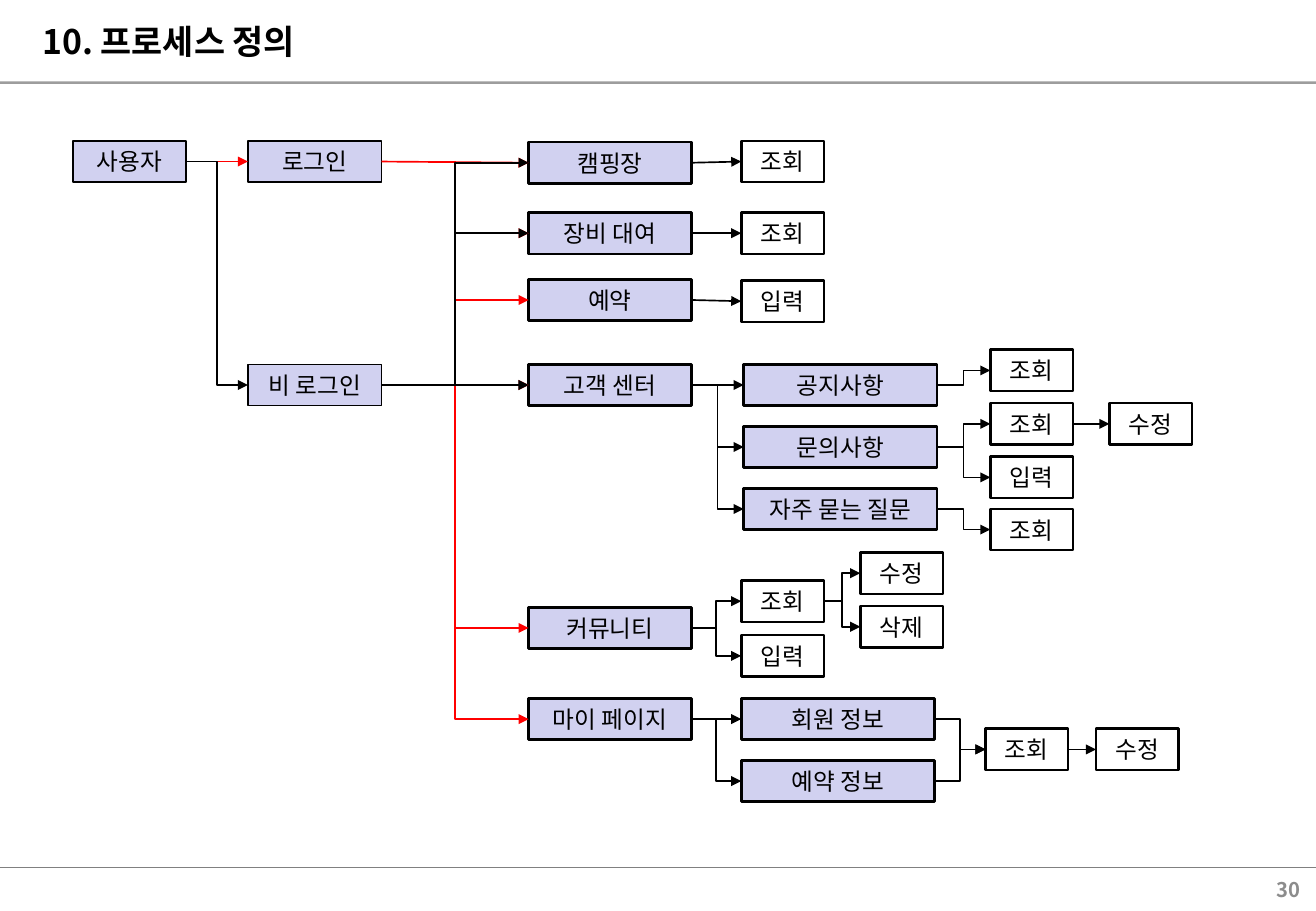
from typing import NamedTuple, Optional

from lxml import etree
from pptx import Presentation
from pptx import util as u
from pptx.dml import color as col
from pptx.enum import shapes, text
from pptx.oxml import ns

FONT = "Noto Sans CJK KR"
HUES = {"ink": "000000", "red": "FF0000", "lilac": "D1D1F0",
        "rule": "808080", "page": "8C8C8C"}
TALL = 0.34


class Kind(NamedTuple):
    width: float
    fill: Optional[str]
    line: float


class Box(NamedTuple):
    key: str
    label: str
    kind: str
    left: float
    top: float


class Link(NamedTuple):
    start: str
    ends: str
    hue: str = "ink"


class Rule(NamedTuple):
    top: float
    line: float
    alpha: int


class Label(NamedTuple):
    words: str
    left: float
    top: float
    width: float
    height: float
    size: int
    hue: str
    align: text.PP_ALIGN


KINDS = {
    "user": Kind(0.93, "lilac", 1),
    "login": Kind(1.1, "lilac", 1),
    "menu": Kind(1.34, "lilac", 1.5),
    "page": Kind(1.59, "lilac", 1.5),
    "act": Kind(0.68, None, 1.5),
}

BOXES = [
    Box("user", "사용자", "user", 0.6, 1.16),
    Box("login", "로그인", "login", 2.04, 1.16),
    Box("guest", "비 로그인", "login", 2.04, 3),
    Box("camp", "캠핑장", "menu", 4.35, 1.17),
    Box("gear", "장비 대여", "menu", 4.35, 1.75),
    Box("book", "예약", "menu", 4.35, 2.3),
    Box("help", "고객 센터", "menu", 4.35, 3),
    Box("club", "커뮤니티", "menu", 4.35, 5),
    Box("my", "마이 페이지", "menu", 4.35, 5.75),
    Box("camp_view", "조회", "act", 6.1, 1.16),
    Box("gear_view", "조회", "act", 6.1, 1.75),
    Box("book_add", "입력", "act", 6.1, 2.31),
    Box("news", "공지사항", "page", 6.12, 3),
    Box("ask", "문의사항", "page", 6.12, 3.51),
    Box("faq", "자주 묻는 질문", "page", 6.12, 4.02),
    Box("news_view", "조회", "act", 8.15, 2.88),
    Box("ask_view", "조회", "act", 8.15, 3.32),
    Box("ask_edit", "수정", "act", 9.13, 3.32),
    Box("ask_add", "입력", "act", 8.15, 3.76),
    Box("faq_view", "조회", "act", 8.15, 4.19),
    Box("club_view", "조회", "act", 6.1, 4.78),
    Box("club_add", "입력", "act", 6.1, 5.23),
    Box("club_edit", "수정", "act", 7.08, 4.55),
    Box("club_drop", "삭제", "act", 7.08, 4.99),
    Box("my_info", "회원 정보", "page", 6.1, 5.75),
    Box("my_book", "예약 정보", "page", 6.1, 6.26),
    Box("my_view", "조회", "act", 8.11, 6),
    Box("my_edit", "수정", "act", 9.02, 6),
]

LINKS = [
    Link("user", "login", "red"),
    Link("user", "guest"),
    Link("login", "camp gear book help club my", "red"),
    Link("guest", "help camp gear"),
    Link("camp", "camp_view"),
    Link("gear", "gear_view"),
    Link("book", "book_add"),
    Link("help", "news ask faq"),
    Link("news", "news_view"),
    Link("ask", "ask_view ask_add"),
    Link("ask_view", "ask_edit"),
    Link("faq", "faq_view"),
    Link("club", "club_view club_add"),
    Link("club_view", "club_edit club_drop"),
    Link("my", "my_info my_book"),
    Link("my_info", "my_view"),
    Link("my_book", "my_view"),
    Link("my_view", "my_edit"),
]

RULES = [Rule(7.14, 0.75, 100), Rule(0.68, 1.5, 76)]

LABELS = [
    Label("10. 프로세스 정의", 0.25, 0.09, 10.43, 0.49, 20, "ink",
          text.PP_ALIGN.LEFT),
    Label("30", 8.36, 7.17, 2.44, 0.31, 12, "page", text.PP_ALIGN.RIGHT),
]


def tint(name: str) -> col.RGBColor:
    return col.RGBColor.from_string(HUES[name])


def write(shape, words: str, size: int, hue: str, align, bold: bool) -> None:
    frame = shape.text_frame
    frame.text = words
    frame.word_wrap = True
    frame.auto_size = text.MSO_AUTO_SIZE.NONE
    frame.vertical_anchor = text.MSO_ANCHOR.MIDDLE
    frame.margin_top = frame.margin_bottom = 0
    para = frame.paragraphs[0]
    para.alignment = align
    font = para.runs[0].font
    font.name, font.size, font.bold = FONT, u.Pt(size), bold
    font.color.rgb = tint(hue)
    props = para.runs[0].font._element
    etree.SubElement(props, ns.qn("a:ea")).set("typeface", FONT)


def add_label(slide, label: Label) -> None:
    shape = slide.shapes.add_textbox(
        u.Inches(label.left), u.Inches(label.top),
        u.Inches(label.width), u.Inches(label.height))
    write(shape, label.words, label.size, label.hue, label.align, True)


def add_box(slide, box: Box):
    kind = KINDS[box.kind]
    shape = slide.shapes.add_shape(
        shapes.MSO_SHAPE.RECTANGLE, u.Inches(box.left), u.Inches(box.top),
        u.Inches(kind.width), u.Inches(TALL))
    shape.shadow.inherit = False
    if kind.fill:
        shape.fill.solid()
        shape.fill.fore_color.rgb = tint(kind.fill)
    else:
        shape.fill.background()
    shape.line.color.rgb = tint("ink")
    shape.line.width = u.Pt(kind.line)
    write(shape, box.label, 14, "ink", text.PP_ALIGN.CENTER, False)
    return shape


def add_line(slide, form, ends: tuple, hue: str, width: float):
    line = slide.shapes.add_connector(form, *ends)
    line.line.color.rgb = tint(hue)
    line.line.width = u.Pt(width)
    etree.SubElement(line._element.spPr, ns.qn("a:effectLst"))
    return line


def add_rule(slide, rule: Rule, wide: int) -> None:
    top = u.Inches(rule.top)
    line = add_line(slide, shapes.MSO_CONNECTOR.STRAIGHT,
                    (0, top, wide, top), "rule", rule.line)
    if rule.alpha < 100:
        shade = line._element.spPr.find(".//" + ns.qn("a:srgbClr"))
        etree.SubElement(shade, ns.qn("a:alpha")).set(
            "val", str(rule.alpha * 1000))


def add_link(slide, start, end, hue: str) -> None:
    level = abs(start.top - end.top) < u.Inches(0.05)
    form = shapes.MSO_CONNECTOR.STRAIGHT if level else shapes.MSO_CONNECTOR.ELBOW
    ends = (start.left + start.width, start.top + start.height // 2,
            end.left, end.top + end.height // 2)
    line = add_line(slide, form, ends, hue, 1)
    line.begin_connect(start, 3)
    line.end_connect(end, 1)
    stroke = line._element.spPr.find(ns.qn("a:ln"))
    etree.SubElement(stroke, ns.qn("a:tailEnd")).set("type", "triangle")


def main() -> None:
    deck = Presentation()
    deck.slide_width, deck.slide_height = u.Inches(10.83), u.Inches(7.5)
    slide = deck.slides.add_slide(deck.slide_layouts[6])
    for rule in RULES:
        add_rule(slide, rule, deck.slide_width)
    for label in LABELS:
        add_label(slide, label)
    nodes = {box.key: add_box(slide, box) for box in BOXES}
    for link in LINKS:
        for end in link.ends.split():
            add_link(slide, nodes[link.start], nodes[end], link.hue)
    deck.save("out.pptx")


if __name__ == "__main__":
    main()
